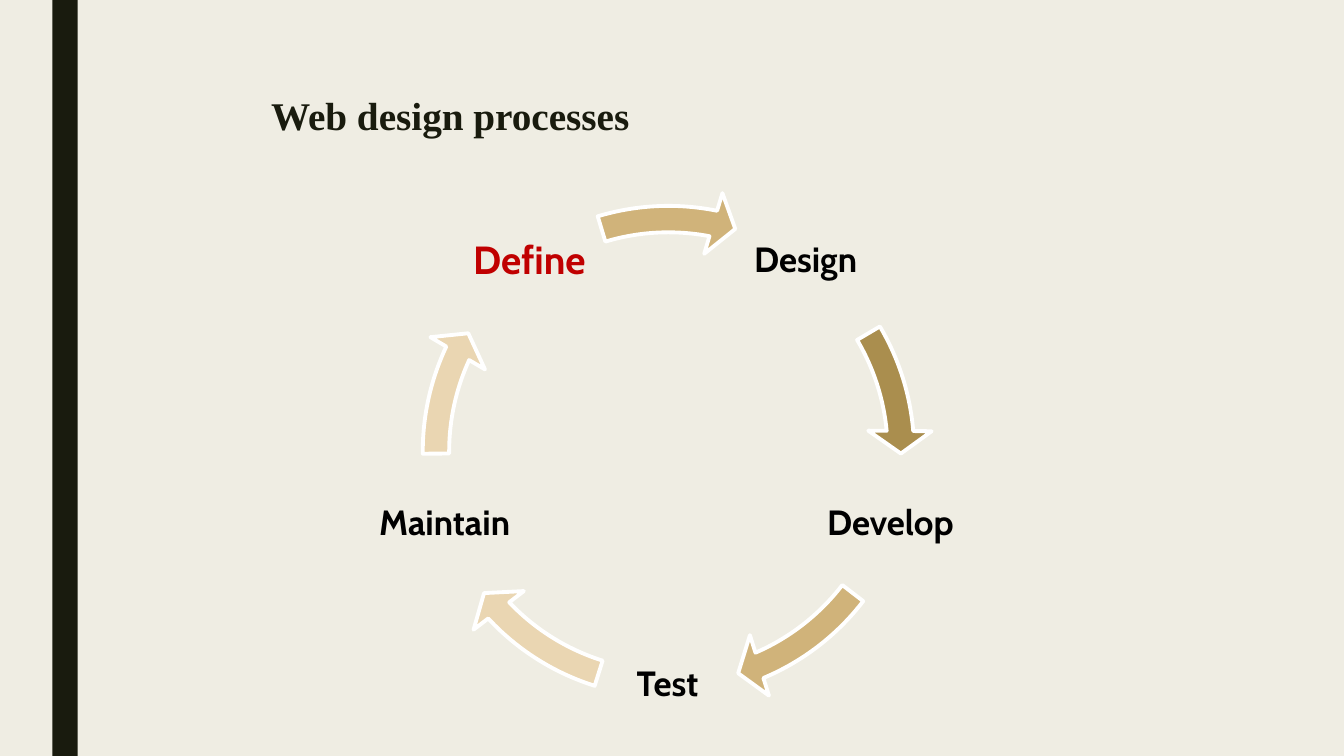
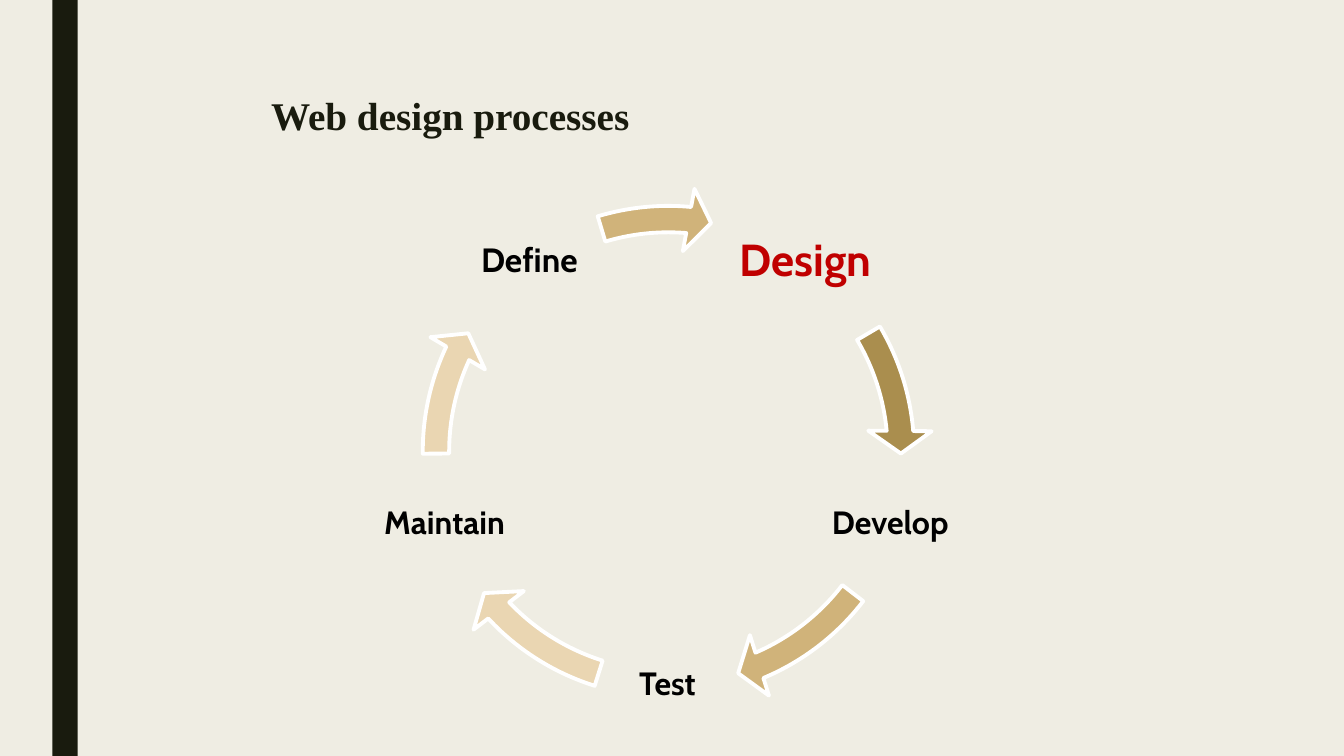
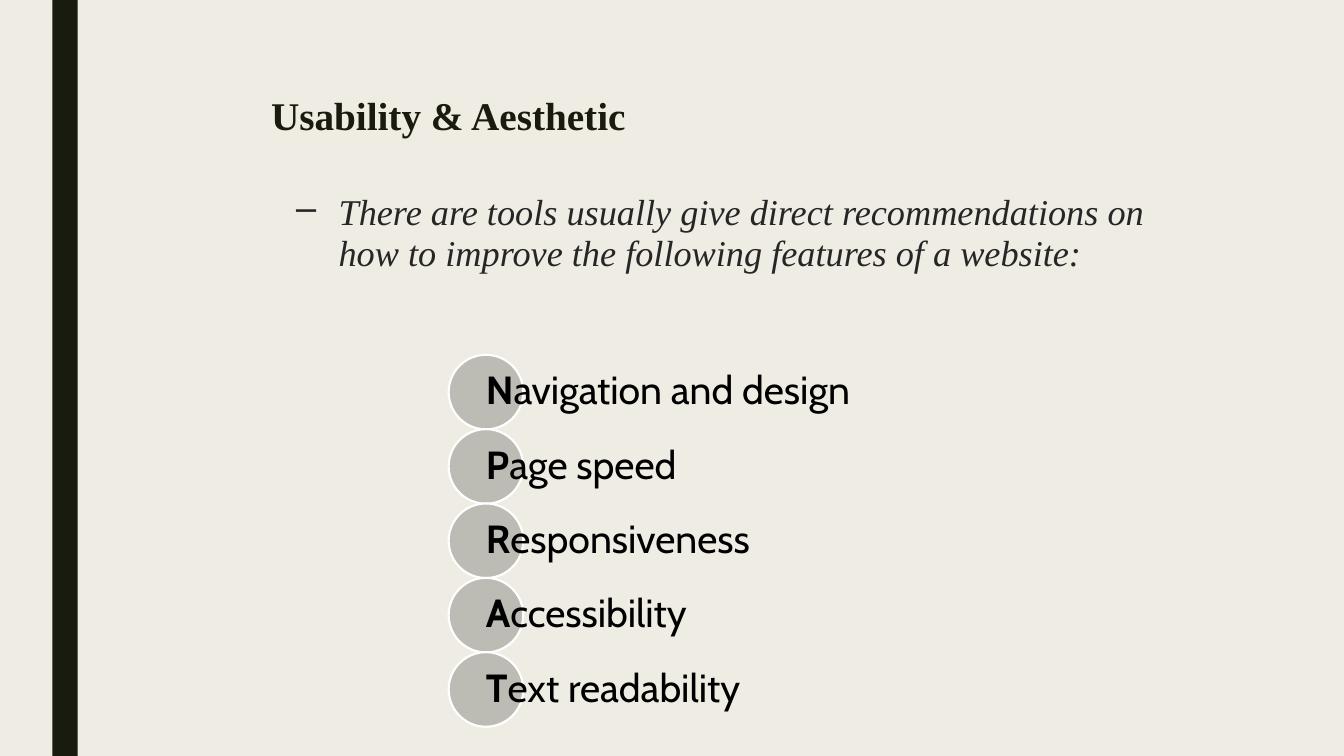
from dataclasses import dataclass, replace

from lxml.etree import SubElement
from pptx import Presentation
from pptx.dml.color import RGBColor
from pptx.enum.shapes import MSO_SHAPE as Kind
from pptx.enum.text import MSO_ANCHOR as Anchor, PP_ALIGN as Align
from pptx.oxml.ns import qn
from pptx.util import Inches, Pt

# Shared look
PAPER, INK, BLACK, WHITE = "EFEDE3", "191B0E", "000000", "FFFFFF"
RED, GRAY, BODY = "C00000", "8C8D86", "262626"
DARK, GOLD, SAND = "AA8E4E", "D0B37A", "EAD6B2"
SERIF, SANS = "Times New Roman", "Cabin"

Box = tuple[float, float, float, float]
RING: Box = (4.01, 1.86, 5.24, 5.24)


@dataclass(frozen=True)
class Step:
    """A label of the cycle and the arrow that leaves it."""
    name: str
    mid: float
    top: float
    fill: str
    end: float
    start: float
    size: float = 25
    color: str = BLACK
    width: float = 1.39


STEPS = [
    Step("Design", 7.99, 1.9, DARK, 212.95, 197.64),
    Step("Develop", 8.83, 4.5, GOLD, 40.17, 22.52),
    Step("Test", 6.62, 6.1, SAND, 82.13, 64.48),
    Step("Maintain", 4.41, 4.5, SAND, 123, 107.69),
    Step("Define", 5.25, 1.9, GOLD, 168.68, 151.97),
]
TRAITS = ["Navigation and design", "Page speed", "Responsiveness",
          "Accessibility", "Text readability"]


def rgb(code: str) -> RGBColor:
    return RGBColor.from_string(code)


def draw(slide, kind, box: Box, fill: str, line: str = "", weight: float = 0):
    shape = slide.shapes.add_shape(kind, *map(Inches, box))
    shape.shadow.inherit = False
    shape.fill.solid()
    shape.fill.fore_color.rgb = rgb(fill)
    if line:
        shape.line.color.rgb = rgb(line)
        shape.line.width = Pt(weight)
    else:
        shape.line.fill.background()
    return shape


def write(slide, box: Box, text: str, *, size: float, font: str = SANS,
          color: str = BLACK, bold: bool = False, italic: bool = False,
          lead: int = 0, align=Align.LEFT, anchor=Anchor.MIDDLE,
          pad: tuple[float, float] = (0.1, 0.05), space: float = 1):
    """Add a text box; the first `lead` letters are bold."""
    frame = slide.shapes.add_textbox(*map(Inches, box)).text_frame
    frame.word_wrap = True
    frame.vertical_anchor = anchor
    frame.margin_left = frame.margin_right = Inches(pad[0])
    frame.margin_top = frame.margin_bottom = Inches(pad[1])
    para = frame.paragraphs[0]
    para.alignment, para.line_spacing = align, space
    for part, heavy in ((text[:lead], True), (text[lead:], bold)):
        if part:
            run = para.add_run()
            run.text = part
            run.font.name, run.font.size = font, Pt(size)
            run.font.bold, run.font.italic = heavy, italic
            run.font.color.rgb = rgb(color)
    return para


def page(deck, title: str):
    """Start a slide with the side band and the title."""
    slide = deck.slides.add_slide(deck.slide_layouts[6])
    draw(slide, Kind.RECTANGLE, (0.52, 0, 0.25, 7.5), INK)
    write(slide, (2.59, 0, 8.93, 1.42), title, size=28, font=SERIF,
          color=INK, bold=True, anchor=Anchor.BOTTOM)
    return slide


def cycle(deck, size: float, looks: dict[str, dict]) -> None:
    """Draw the process ring; `looks` changes single steps."""
    slide = page(deck, "Web design processes")
    for base in STEPS:
        step = replace(base, **{"size": size, **looks.get(base.name, {})})
        box = (step.mid - step.width / 2, step.top, step.width, 1.39)
        write(slide, box, step.name, size=step.size, color=step.color,
              bold=True, align=Align.CENTER, pad=(0.03, 0.03), space=0.9)
        arrow = draw(slide, Kind.CIRCULAR_ARROW, RING, step.fill, WHITE, 2.75)
        for i, value in enumerate((0.05, 3.35, step.end, step.start, 0.06)):
            arrow.adjustments[i] = value


def traits(deck) -> None:
    slide = page(deck, "Usability & Aesthetic")

    # Lead sentence with a dash bullet
    para = write(slide, (2.26, 1.86, 9.22, 1.18),
                 "There are tools usually give direct recommendations on how "
                 "to improve the following features of a website:",
                 size=25.9, font=SERIF, color=BODY, italic=True,
                 anchor=Anchor.TOP, space=0.94)
    props = para._p.get_or_add_pPr()
    props.set("marL", str(Inches(1)))
    props.set("indent", str(Inches(-0.42)))
    SubElement(props, qn("a:buChar")).set("char", "–")

    # Column of touching circles
    side, pitch = 0.74, 2.95 / 4
    for i, name in enumerate(TRAITS):
        top = 3.52 + i * pitch
        dot = draw(slide, Kind.OVAL, (4.45, top, side, side), GRAY, WHITE, 1.5)
        tint = dot.element.spPr.find(qn("a:solidFill")).find(qn("a:srgbClr"))
        SubElement(tint, qn("a:alpha")).set("val", "50000")
        write(slide, (4.82, top, 3.94, side), name, size=28, lead=1,
              pad=(0, 0.04), space=0.9)


def main() -> None:
    deck = Presentation()
    deck.slide_width, deck.slide_height = Inches(13.33), Inches(7.5)
    back = deck.slide_master.background.fill
    back.solid()
    back.fore_color.rgb = rgb(PAPER)

    cycle(deck, 25, {"Define": {"size": 28, "color": RED}})
    cycle(deck, 23, {"Define": {"size": 24, "end": 165},
                     "Design": {"size": 32, "color": RED, "width": 1.88}})
    traits(deck)
    deck.save("out.pptx")


if __name__ == "__main__":
    main()
